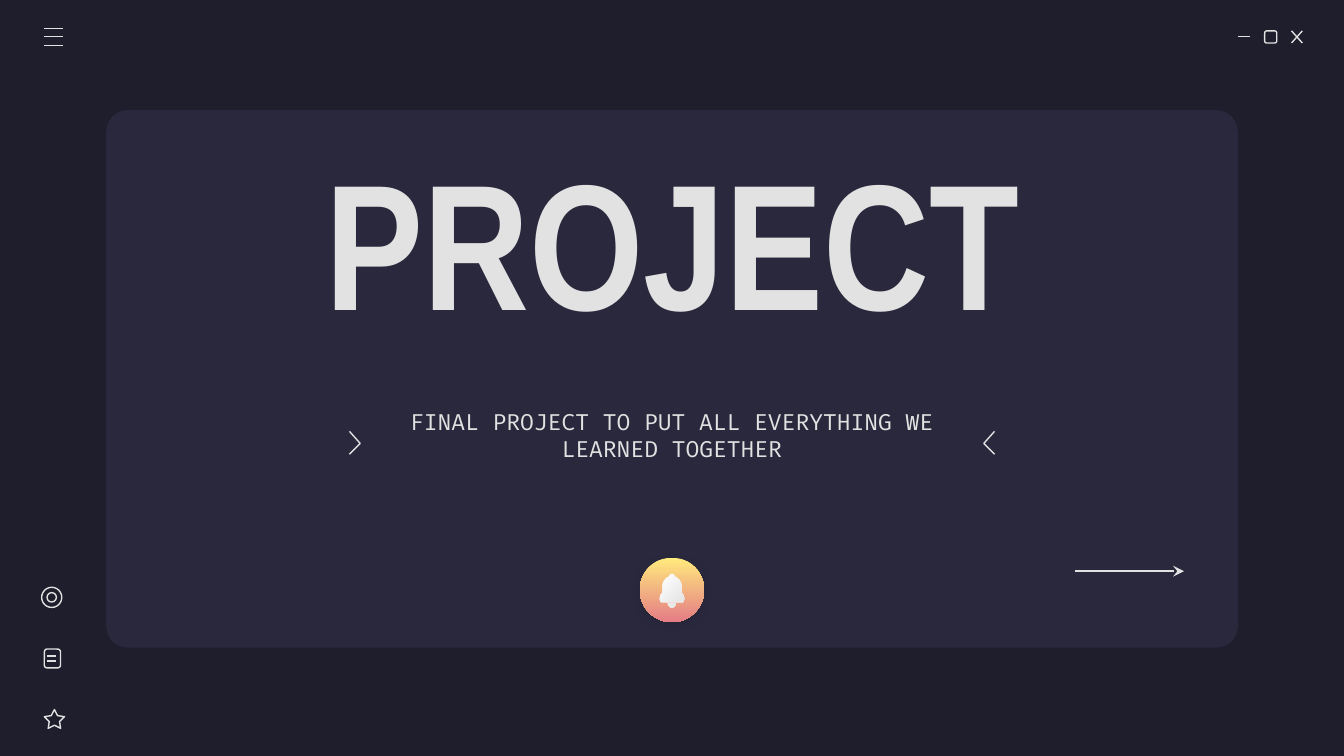
from lxml.etree import SubElement
from pptx import Presentation
from pptx.dml.color import RGBColor
from pptx.enum.shapes import MSO_CONNECTOR, MSO_SHAPE
from pptx.enum.text import MSO_ANCHOR, MSO_AUTO_SIZE, PP_ALIGN
from pptx.oxml.ns import qn
from pptx.util import Inches, Pt

NIGHT = RGBColor(0x1E, 0x1E, 0x2C)
PANEL = RGBColor(0x29, 0x28, 0x3D)
LIGHT = RGBColor(0xE2, 0xE2, 0xE2)
WHITE = RGBColor(0xFF, 0xFF, 0xFF)
YELLOW = RGBColor(0xFF, 0xEA, 0x7D)
CORAL = RGBColor(0xE5, 0x7C, 0x85)


def curve(start, *segments, steps=8):
    """Points along a chain of cubic curves."""
    points = [start]
    for a, b, end in segments:
        first = points[-1]
        for step in range(1, steps + 1):
            t = step / steps
            points.append(tuple(
                (1 - t) ** 3 * p + 3 * (1 - t) ** 2 * t * q + 3 * (1 - t) * t ** 2 * r + t ** 3 * s
                for p, q, r, s in zip(first, a, b, end)))
    return points


def mirror(points, center):
    return [(2 * center - x, y) for x, y in reversed(points)]


class Painter:
    line_width = Pt(0.75)

    def __init__(self, page):
        self.page = page

    def finish(self, shape, fill=None, gradient=None, outline=False):
        shape.shadow.inherit = False
        if gradient:
            start, end, angle = gradient
            shape.fill.gradient()
            shape.fill.gradient_angle = angle
            for stop, color, place in zip(shape.fill.gradient_stops, (start, end), (0, 1)):
                stop.color.rgb = color
                stop.position = place
        elif fill is not None:
            shape.fill.solid()
            shape.fill.fore_color.rgb = fill
        else:
            shape.fill.background()
        if outline:
            shape.line.color.rgb = LIGHT
            shape.line.width = self.line_width
        else:
            shape.line.fill.background()
        return shape

    def shape(self, kind, left, top, width, height, adjust=None, **style):
        shape = self.page.shapes.add_shape(
            kind, Inches(left), Inches(top), Inches(width), Inches(height))
        if adjust is not None:
            shape.adjustments[0] = adjust
        return self.finish(shape, **style)

    def outline(self, *contours, close=True, **style):
        paths = [[(Inches(x), Inches(y)) for x, y in contour] for contour in contours]
        builder = self.page.shapes.build_freeform(*paths[0][0], scale=1.0)
        for number, path in enumerate(paths):
            if number:
                builder.move_to(*path[0])
            builder.add_line_segments(path[1:], close=close)
        return self.finish(builder.convert_to_shape(), **style)

    def line(self, x1, y1, x2, y2, arrow=False):
        line = self.page.shapes.add_connector(
            MSO_CONNECTOR.STRAIGHT, Inches(x1), Inches(y1), Inches(x2), Inches(y2))
        line.line.color.rgb = LIGHT
        line.line.width = self.line_width
        if arrow:
            SubElement(line.line._get_or_add_ln(), qn("a:tailEnd"), type="stealth")
        SubElement(line._element.spPr, qn("a:effectLst"))

    def text(self, box, words, left, top, width, height, size, font, bold=False):
        box.left, box.top = Inches(left), Inches(top)
        box.width, box.height = Inches(width), Inches(height)
        frame = box.text_frame
        frame.word_wrap = True
        frame.auto_size = MSO_AUTO_SIZE.NONE
        frame.vertical_anchor = MSO_ANCHOR.MIDDLE
        frame.margin_left = frame.margin_right = Inches(0.1)
        frame.margin_top = frame.margin_bottom = Inches(0.1)
        para = frame.paragraphs[0]
        para.alignment = PP_ALIGN.CENTER
        span = para.add_run()
        span.text = words
        span.font.size, span.font.name, span.font.bold = Pt(size), font, bold
        span.font.color.rgb = LIGHT

    def drop_shadow(self, shape):
        effects = shape._element.spPr.find(qn("a:effectLst"))
        shadow = SubElement(effects, qn("a:outerShdw"), blurRad=str(Pt(4.5)),
                            dist=str(Pt(1.5)), dir="5400000", algn="bl", rotWithShape="0")
        color = SubElement(shadow, qn("a:srgbClr"), val=str(NIGHT))
        SubElement(color, qn("a:alpha"), val="30000")


# Widescreen page, 16 to 9
deck = Presentation()
deck.slide_width = Inches(10)
deck.slide_height = Inches(10) * 9 // 16
page = deck.slides.add_slide(deck.slide_layouts[5])
page.background.fill.solid()
page.background.fill.fore_color.rgb = NIGHT
painter = Painter(page)

# Main panel, placed behind the title
panel = painter.shape(MSO_SHAPE.ROUNDED_RECTANGLE, 0.79, 0.82, 8.42, 4, 0.04, fill=PANEL)
page.shapes.title._element.addprevious(panel._element)

# Window buttons
painter.line(9.21, 0.27, 9.3, 0.27)
painter.shape(MSO_SHAPE.ROUNDED_RECTANGLE, 9.41, 0.23, 0.09, 0.09, outline=True)
painter.line(9.61, 0.23, 9.69, 0.32)
painter.line(9.69, 0.23, 9.61, 0.32)

# Menu icon
for y in (0.21, 0.27, 0.34):
    painter.line(0.33, y, 0.47, y)

# Side icons: star, note, target
painter.shape(MSO_SHAPE.STAR_5_POINT, 0.33, 5.28, 0.15, 0.14, 0.254, outline=True)
painter.shape(MSO_SHAPE.ROUNDED_RECTANGLE, 0.33, 4.83, 0.12, 0.14, outline=True)
for y in (4.88, 4.92):
    painter.line(0.35, y, 0.42, y)
for inset in (0, 0.04):
    size = 0.15 - 2 * inset
    painter.shape(MSO_SHAPE.OVAL, 0.31 + inset, 4.37 + inset, size, size, outline=True)

# Title and subtitle
painter.text(page.shapes.title, "PROJECT", 1.97, 1.07, 6.07, 1.42, 96, "Arial Narrow", bold=True)
subtitle = page.shapes.add_textbox(0, 0, 0, 0)
painter.text(subtitle, "FINAL PROJECT TO PUT ALL EVERYTHING WE LEARNED TOGETHER",
             2.68, 2.75, 4.64, 0.97, 12, "Fira Code")

# Bell badge
badge = painter.shape(MSO_SHAPE.OVAL, 4.76, 4.15, 0.48, 0.48, gradient=(YELLOW, CORAL, 270))
painter.drop_shadow(badge)
left_side = (
    curve((5, 4.27), ((4.99, 4.27), (4.98, 4.28), (4.98, 4.29)))
    + curve((4.98, 4.29), ((4.95, 4.3), (4.93, 4.33), (4.93, 4.36)))
    + curve((4.93, 4.41), ((4.92, 4.42), (4.91, 4.43), (4.91, 4.45)))
    + curve((4.91, 4.46), ((4.91, 4.47), (4.92, 4.48), (4.92, 4.48))))
clapper = curve((4.97, 4.49), ((4.97, 4.5), (4.98, 4.52), (5, 4.52)),
                ((5.02, 4.52), (5.03, 4.5), (5.03, 4.49)))
painter.outline(left_side + mirror(left_side, 5), clapper, gradient=(WHITE, LIGHT, 315))

# Chevrons on both sides of the subtitle
chevron = [(2.6, 3.21), (2.68, 3.3), (2.6, 3.38)]
for points in (chevron, mirror(chevron, 5)):
    painter.outline(points, close=False, outline=True)

# Next arrow
painter.line(8, 4.25, 8.81, 4.25, arrow=True)

deck.save("out.pptx")
